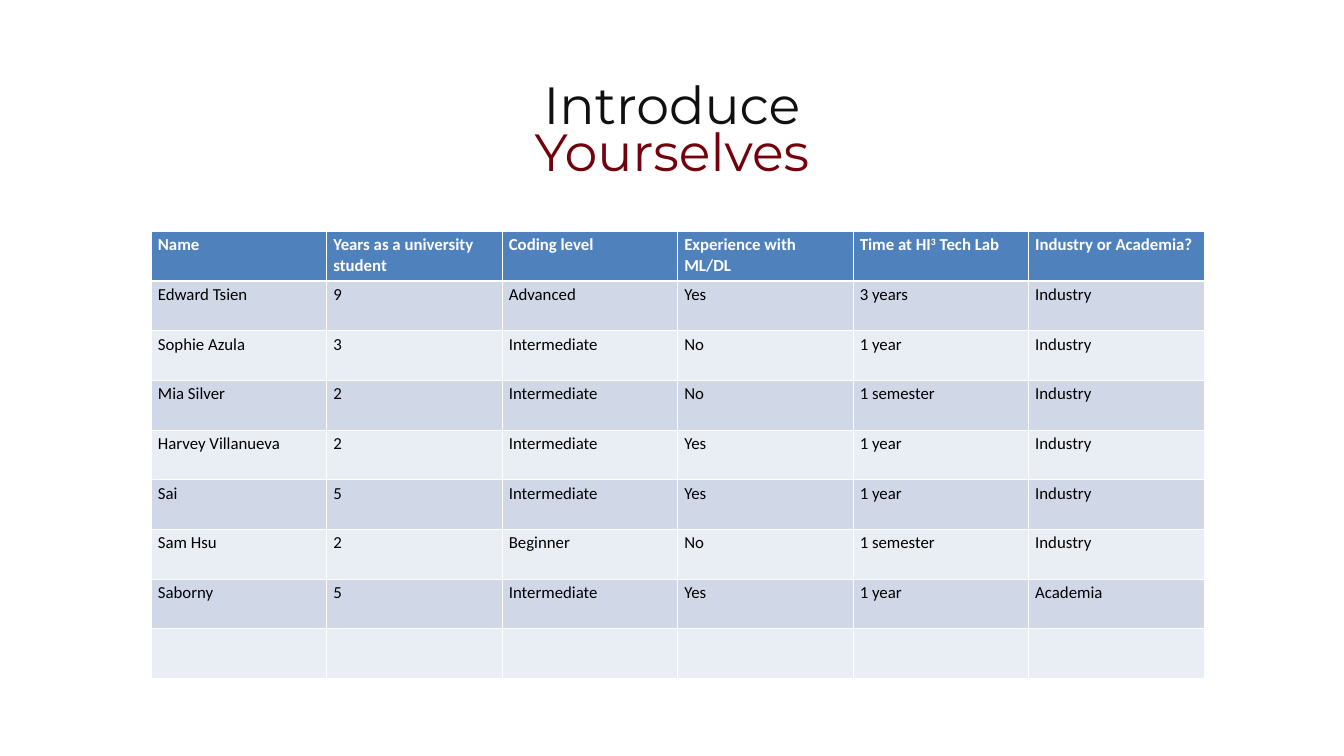
from dataclasses import dataclass

from lxml.etree import SubElement
from pptx import Presentation
from pptx.dml.color import RGBColor
from pptx.enum.text import MSO_AUTO_SIZE, PP_ALIGN
from pptx.oxml.ns import qn
from pptx.util import Pt


@dataclass(frozen=True)
class Theme:
    ink: str = "101010"
    garnet: str = "73000A"
    header: str = "4F81BD"
    bands: tuple = ("D0D8E8", "E9EDF4")
    white: str = "FFFFFF"
    black: str = "000000"
    title_font: str = "Montserrat"
    body_font: str = "Calibri"
    title_size: float = 56
    title_leading: float = 52.6
    body_size: float = 18


class SlideBuilder:
    def __init__(self, slide, theme):
        self.slide = slide
        self.theme = theme

    def style(self, font, color, **values):
        for name, value in values.items():
            setattr(font, name, value)
        font.color.rgb = RGBColor.from_string(color)

    def title_line(self, wording, color, left, top, width, height):
        box = self.slide.shapes.add_textbox(Pt(left), Pt(top), Pt(width), Pt(height))
        frame = box.text_frame
        settings = {"word_wrap": True, "auto_size": MSO_AUTO_SIZE.SHAPE_TO_FIT_TEXT}
        settings |= {f"margin_{side}": 0 for side in ("left", "top", "right", "bottom")}
        for name, value in settings.items():
            setattr(frame, name, value)
        line = frame.paragraphs[0]
        line.alignment = PP_ALIGN.CENTER
        line.line_spacing = Pt(self.theme.title_leading)
        run = line.add_run()
        run.text = wording
        self.style(run.font, color, name=self.theme.title_font, size=Pt(self.theme.title_size))

    def borders(self, cell, bottom):
        properties = cell._tc.get_or_add_tcPr()
        for side, weight in {"L": 1, "R": 1, "T": 1, "B": bottom}.items():
            edge = SubElement(properties, qn(f"a:ln{side}"), w=str(Pt(weight)))
            paint = SubElement(edge, qn("a:solidFill"))
            SubElement(paint, qn("a:srgbClr"), val=self.theme.white)

    def fill_cell(self, cell, content, is_header, fill):
        theme = self.theme
        self.borders(cell, bottom=3 if is_header else 1)
        cell.fill.solid()
        cell.fill.fore_color.rgb = RGBColor.from_string(fill)
        paragraph = cell.text_frame.paragraphs[0]
        for index, piece in enumerate(content.split("^")):
            if not piece:
                continue
            run = paragraph.add_run()
            run.text = piece
            self.style(run.font, theme.white if is_header else theme.black,
                       name=theme.body_font, size=Pt(theme.body_size), bold=is_header)
            if index % 2:
                run._r.get_or_add_rPr().set("baseline", "30000")

    def table(self, rows, left, top, column_width, row_height):
        columns = len(rows[0])
        grid = self.slide.shapes.add_table(
            len(rows), columns, Pt(left), Pt(top),
            Pt(column_width * columns), Pt(row_height * len(rows))).table
        for column in grid.columns:
            column.width = Pt(column_width)
        for r, entries in enumerate(rows):
            grid.rows[r].height = Pt(row_height)
            fill = self.theme.bands[(r - 1) % 2] if r else self.theme.header
            for c, content in enumerate(entries):
                self.fill_cell(grid.cell(r, c), content, r == 0, fill)


ROSTER = [
    ("Name", "Years as a university student", "Coding level",
     "Experience with ML/DL", "Time at HI^3^ Tech Lab", "Industry or Academia?"),
    ("Edward Tsien", "9", "Advanced", "Yes", "3 years", "Industry"),
    ("Sophie Azula", "3", "Intermediate", "No", "1 year", "Industry"),
    ("Mia Silver", "2", "Intermediate", "No", "1 semester", "Industry"),
    ("Harvey Villanueva", "2", "Intermediate", "Yes", "1 year", "Industry"),
    ("Sai", "5", "Intermediate", "Yes", "1 year", "Industry"),
    ("Sam Hsu", "2", "Beginner", "No", "1 semester", "Industry"),
    ("Saborny", "5", "Intermediate", "Yes", "1 year", "Academia"),
    ("",) * 6,
]


def main():
    presentation = Presentation()
    presentation.slide_width = Pt(1440)
    presentation.slide_height = Pt(810)
    theme = Theme()
    builder = SlideBuilder(presentation.slides.add_slide(presentation.slide_layouts[6]), theme)
    title = (("Introduce", theme.ink, 92), ("Yourselves", theme.garnet, 142))
    for wording, color, top in title:
        builder.title_line(wording, color, left=466, top=top, width=508, height=56)
    builder.table(ROSTER, left=162, top=248, column_width=188, row_height=53.2)
    presentation.save("out.pptx")


if __name__ == "__main__":
    main()
